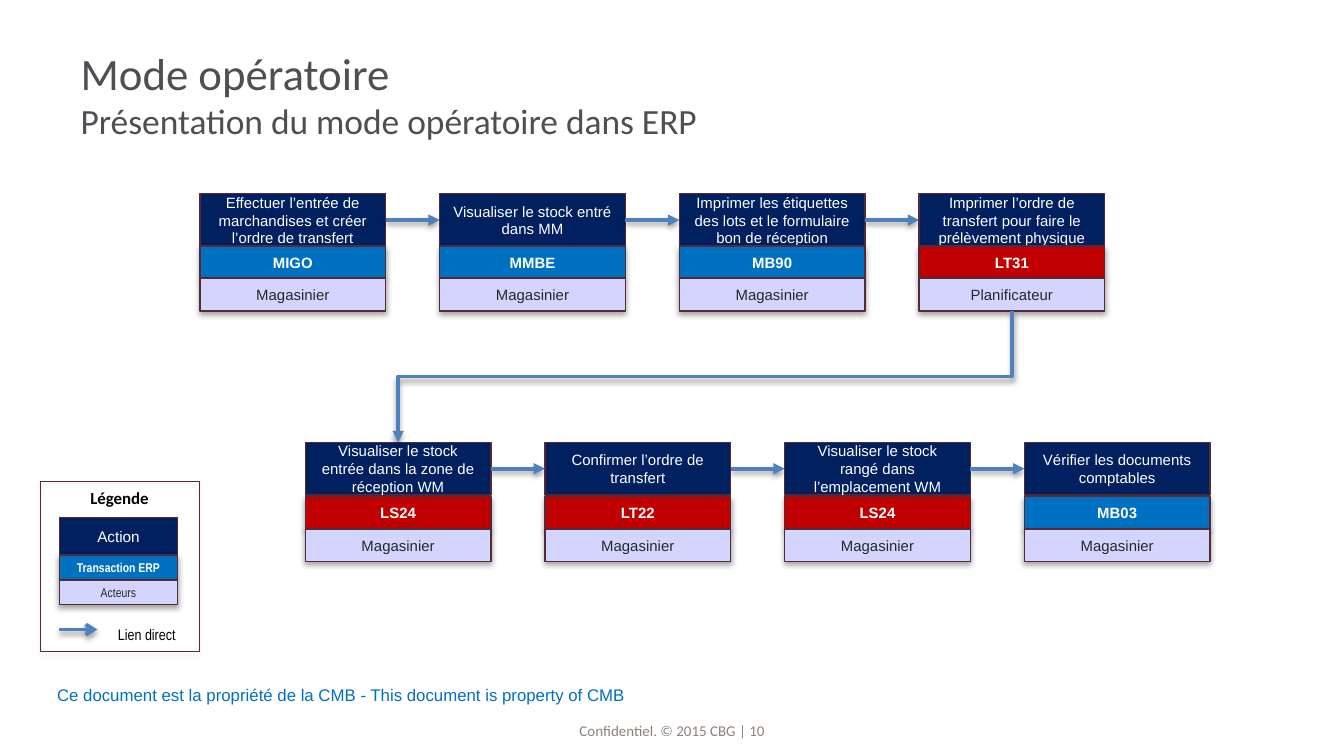
"""Build the slide that presents the operating procedure as two rows of linked steps."""
from lxml.etree import SubElement
from pptx import Presentation
from pptx.dml.color import RGBColor
from pptx.enum.shapes import MSO_CONNECTOR as LINK, MSO_SHAPE as SHAPE
from pptx.enum.text import MSO_ANCHOR as ANCHOR, MSO_AUTO_SIZE as AUTO, PP_ALIGN as ALIGN
from pptx.oxml.ns import qn
from pptx.util import Cm, Pt

rgb = RGBColor.from_string
NAVY, BLUE, RED, LILAC = "002060", "0070C0", "C00000", "D3D5FF"
BORDER, ARROW, WHITE, DARK, BLACK, GREY = "552A37", "4F81BD", "FFFFFF", "26282A", "000000", "4D4F53"


def write(shape, text, size=8, font="Arial", color=BLACK, bold=False,
          align=ALIGN.CENTER, anchor=ANCHOR.MIDDLE, wrap=True, inset=None):
    """Append one formatted run to the first paragraph of a shape."""
    frame = shape.text_frame
    frame.word_wrap, frame.vertical_anchor, frame.auto_size = wrap, anchor, AUTO.NONE
    if inset is not None:
        frame.margin_left = frame.margin_right = frame.margin_top = frame.margin_bottom = inset
    paragraph = frame.paragraphs[0]
    paragraph.alignment = align
    run = paragraph.add_run()
    run.text = text
    run.font.size, run.font.name, run.font.bold = Pt(size), font, bold
    run.font.color.rgb = rgb(color)


def outline(shape, color=BORDER, width=0.75, shadow=35, head=None):
    """Set the line, the optional arrowhead and the shadow opacity in percent."""
    shape.line.color.rgb = rgb(color)
    shape.line.width = Pt(width)
    properties = shape.element.spPr
    if head:
        SubElement(properties.find(qn("a:ln")), qn("a:tailEnd"), type=head)
    effects = SubElement(properties, qn("a:effectLst"))
    if shadow:
        cast = SubElement(effects, qn("a:outerShdw"), blurRad=str(Pt(3.1)), dist=str(Pt(1.7)),
                          dir="5400000", rotWithShape="0")
        tint = SubElement(cast, qn("a:srgbClr"), val=BLACK)
        SubElement(tint, qn("a:alpha"), val=str(shadow * 1000))


deck = Presentation()
deck.slide_width, deck.slide_height = Cm(25.4), Cm(14.29)
slide = deck.slides.add_slide(deck.slide_layouts[5])
shapes = slide.shapes

title = shapes.title
title.left, title.top, title.width, title.height = Cm(1.27), Cm(0.58), Cm(22.86), Cm(2.39)
write(title, "Mode opératoire", size=24, font="Calibri", color=GREY, align=ALIGN.LEFT)
title_line = title.text_frame.paragraphs[0]
title_line.add_line_break()
SubElement(title_line._p[-1], qn("a:rPr"), sz="2400")
write(title, "Présentation du mode opératoire dans ERP", size=19, font="Calibri",
      color=GREY, align=ALIGN.LEFT)

legend_frame = shapes.add_shape(SHAPE.RECTANGLE, Cm(0.76), Cm(9.09), Cm(3), Cm(3.23))
legend_frame.fill.background()
outline(legend_frame, width=0.25)

labels = [
    ("Légende", (0.76, 9.09, 3, 0.64), dict(size=9, font="Calibri", bold=True)),
    ("Lien direct", (1.96, 11.68, 1.63, 0.61), dict(size=8.2, font="Arial Narrow", wrap=False)),
    ("Ce document est la propriété de la CMB - This document is property of CMB",
     (0.79, 12.83, 11.3, 0.61), dict(size=9, color=BLUE)),
    ("Confidentiel. © 2015 CBG | 10", (8.64, 13.54, 8.13, 0.43),
     dict(font="Calibri", color="8D817B", anchor=ANCHOR.BOTTOM, inset=0)),
]
for text, place, style in labels:
    write(shapes.add_textbox(*map(Cm, place)), text, **style)

first_row = [
    ("Effectuer l’entrée de marchandises et créer l’ordre de transfert", "MIGO", BLUE, "Magasinier"),
    ("Visualiser le stock entré dans MM", "MMBE", BLUE, "Magasinier"),
    ("Imprimer les étiquettes des lots et le formulaire bon de réception", "MB90", BLUE, "Magasinier"),
    ("Imprimer l’ordre de transfert pour faire le prélèvement physique", "LT31", RED, "Planificateur"),
]
second_row = [
    ("Visualiser le stock entrée dans la zone de réception WM", "LS24", RED, "Magasinier"),
    ("Confirmer l’ordre de transfert", "LT22", RED, "Magasinier"),
    ("Visualiser le stock rangé dans l’emplacement WM", "LS24", RED, "Magasinier"),
    ("Vérifier les documents comptables", "MB03", BLUE, "Magasinier"),
]
legend = [("Action", "Transaction ERP", BLUE, "Acteurs")]

step_sizes, step_fonts = (8, 8, 8), ("Arial",) * 3
legend_sizes, legend_fonts = (8.2, 6.8, 6.8), ("Arial", "Arial Narrow", "Arial Narrow")
rows = [
    (first_row, 3.78, 3.51, (3.66, 4.65, 5.27), (1, 0.61, 0.61), step_sizes, step_fonts),
    (second_row, 5.77, 3.51, (8.36, 9.39, 10), (1, 0.61, 0.61), step_sizes, step_fonts),
    (legend, 1.12, 2.24, (9.78, 10.49, 10.97), (0.71, 0.46, 0.46), legend_sizes, legend_fonts),
]
pitch = 4.53
cards = []
for steps, left, width, tops, heights, sizes, fonts in rows:
    for column, (action, transaction, transaction_fill, actor) in enumerate(steps):
        parts = [(action, NAVY, WHITE, False, 0),
                 (transaction, transaction_fill, WHITE, True, 35),
                 (actor, LILAC, DARK, False, 35)]
        card = []
        for part, top, height, size, font in zip(parts, tops, heights, sizes, fonts):
            text, fill, color, bold, shadow = part
            box = shapes.add_shape(SHAPE.RECTANGLE, Cm(left + column * pitch), Cm(top),
                                   Cm(width), Cm(height))
            box.fill.solid()
            box.fill.fore_color.rgb = rgb(fill)
            outline(box, shadow=shadow)
            write(box, text, size=size, font=font, color=color, bold=bold)
            card.append(box)
        cards.append(card)

for start in (0, 1, 2, 4, 5, 6):
    link = shapes.add_connector(LINK.STRAIGHT, 0, 0, 0, 0)
    link.begin_connect(cards[start][0], 3)
    link.end_connect(cards[start + 1][0], 1)
    outline(link, ARROW, 2, 38, "triangle")

row_link = shapes.add_connector(LINK.ELBOW, 0, 0, 0, 0)
row_link.begin_connect(cards[3][2], 2)
row_link.end_connect(cards[4][0], 0)
across = row_link.begin_x - row_link.end_x
down = row_link.end_y - row_link.begin_y
center_x = (row_link.begin_x + row_link.end_x) // 2
center_y = (row_link.begin_y + row_link.end_y) // 2
row_link.left, row_link.top = center_x - down // 2, center_y - across // 2
row_link.width, row_link.height = down, across
turn = row_link.element.spPr.find(qn("a:xfrm"))
turn.set("rot", "5400000")
turn.set("flipH", "0")
outline(row_link, ARROW, 2, 38, "triangle")

legend_link = shapes.add_connector(LINK.STRAIGHT, Cm(1.12), Cm(11.9), Cm(1.84), Cm(11.9))
outline(legend_link, ARROW, 2, 38, "arrow")

deck.save("out.pptx")
